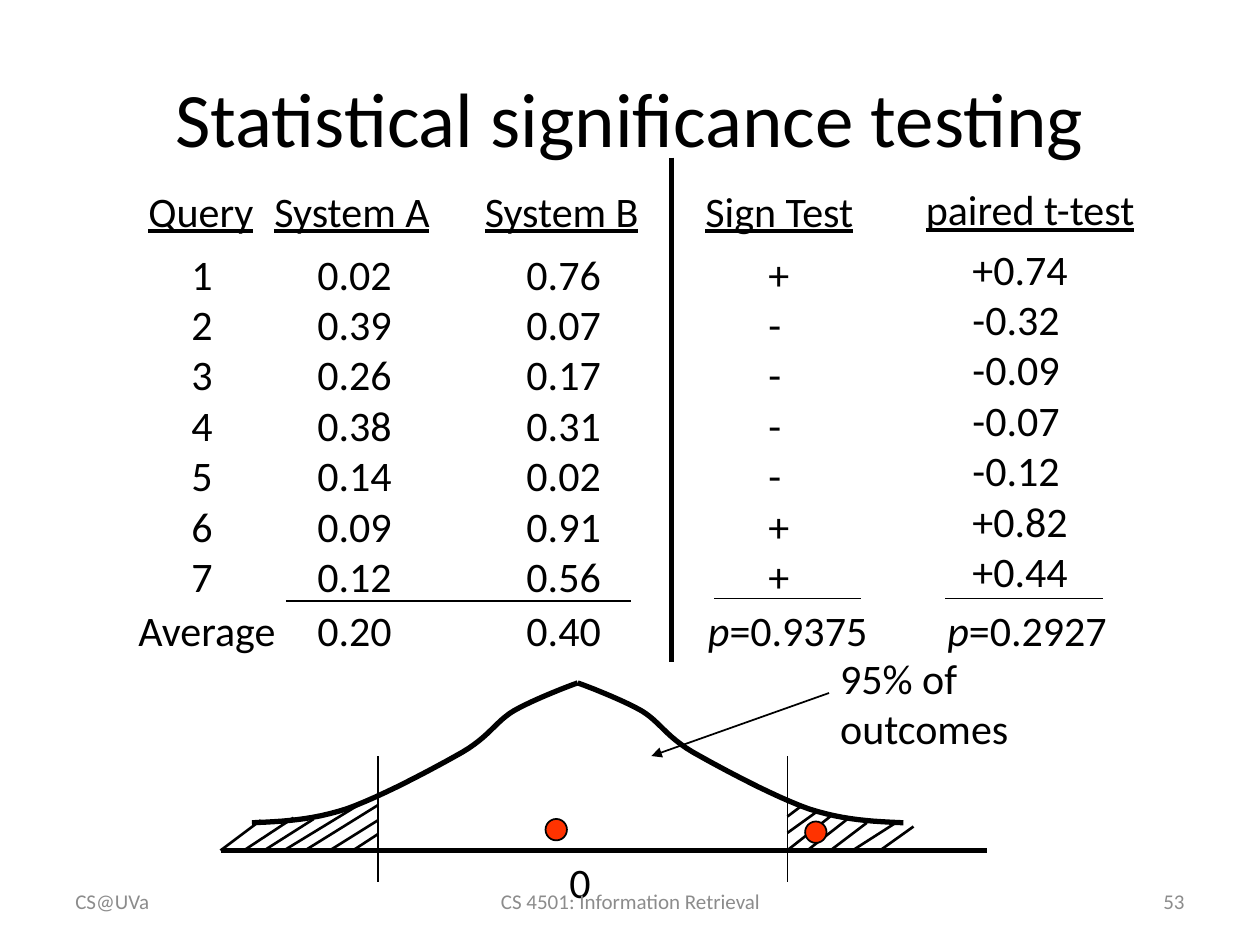
from lxml.etree import SubElement
from pptx import Presentation
from pptx.dml.color import RGBColor
from pptx.enum.shapes import MSO_CONNECTOR, MSO_SHAPE
from pptx.enum.text import MSO_ANCHOR, MSO_AUTO_SIZE, PP_ALIGN
from pptx.oxml.ns import qn
from pptx.util import Emu, Pt

EMU_PER_PX = 9144  # 100 px to the inch


def px(length):
    return Emu(round(length * EMU_PER_PX))


def color(hex_string):
    return RGBColor.from_string(hex_string)


def bezier(start, control_1, control_2, end, steps=12):
    """Points after start along a cubic curve."""
    points = []
    for step in range(1, steps + 1):
        t = step / steps
        weights = ((1 - t) ** 3, 3 * t * (1 - t) ** 2, 3 * t * t * (1 - t), t ** 3)
        corners = (start, control_1, control_2, end)
        points.append(tuple(sum(w * c[axis] for w, c in zip(weights, corners))
                            for axis in (0, 1)))
    return points


class SlideBuilder:
    FONT, INK, MUTED, ACCENT = "Calibri", "000000", "8C8C8C", "FF3300"
    BODY = 24

    def __init__(self, slide):
        self.slide = slide
        self.shapes = slide.shapes

    def styled_run(self, paragraph, text, align=PP_ALIGN.LEFT, size=BODY, ink=INK, **formats):
        paragraph.alignment = align
        run = paragraph.add_run()
        run.text = text
        run.font.color.rgb = color(ink)
        for name, value in {"name": self.FONT, "size": Pt(size), **formats}.items():
            setattr(run.font, name, value)

    def title(self, text, left, top, width, height):
        heading = self.shapes.title
        for name, value in zip(("left", "top", "width", "height"), (left, top, width, height)):
            setattr(heading, name, px(value))
        heading.text_frame.vertical_anchor = MSO_ANCHOR.MIDDLE
        self.styled_run(heading.text_frame.paragraphs[0], text, PP_ALIGN.CENTER, 44)

    def text(self, lines, left, top, width, height=50, wrap=False,
             anchor=MSO_ANCHOR.TOP, **style):
        frame = self.shapes.add_textbox(px(left), px(top), px(width), px(height)).text_frame
        frame.word_wrap = wrap
        frame.auto_size = MSO_AUTO_SIZE.NONE if wrap else MSO_AUTO_SIZE.SHAPE_TO_FIT_TEXT
        frame.vertical_anchor = anchor
        for index, line in enumerate(lines):
            paragraph = frame.add_paragraph() if index else frame.paragraphs[0]
            self.styled_run(paragraph, line, **style)
        return frame

    def p_value(self, value, left):
        frame = self.text(["p"], left, 475, 148, italic=True)
        self.styled_run(frame.paragraphs[0], f"={value}")

    def line(self, x1, y1, x2, y2, weight=1, arrow=False):
        connector = self.shapes.add_connector(
            MSO_CONNECTOR.STRAIGHT, px(x1), px(y1), px(x2), px(y2))
        connector.line.color.rgb = color(self.INK)
        connector.line.width = Pt(weight)
        properties = connector._element.spPr
        if arrow:
            SubElement(properties.find(qn("a:ln")), qn("a:tailEnd"), type="triangle")
        SubElement(properties, qn("a:effectLst"))

    def curve(self, points):
        (x, y), *others = [(px(x), px(y)) for x, y in points]
        builder = self.shapes.build_freeform(x, y)
        builder.add_line_segments(others, close=False)
        outline = builder.convert_to_shape()
        outline.shadow.inherit = False
        outline.fill.background()
        outline.line.color.rgb = color(self.INK)
        outline.line.width = Pt(3)

    def dot(self, left, top, size=17):
        marker = self.shapes.add_shape(MSO_SHAPE.OVAL, px(left), px(top), px(size), px(size))
        marker.shadow.inherit = False
        marker.fill.solid()
        marker.fill.fore_color.rgb = color(self.ACCENT)
        marker.line.color.rgb = color(self.INK)
        marker.line.width = Pt(1)


# heading, its left, top and width; values, their left, top and width
COLUMNS = [
    ("System A", 208, 142, 144, "0.02 0.39 0.26 0.38 0.14 0.09 0.12", 242, 192, 79),
    ("System B", 375, 142, 143, "0.76 0.07 0.17 0.31 0.02 0.91 0.56", 408, 192, 79),
    ("Query", 108, 142, 104, "1 2 3 4 5 6 7", 142, 192, 37),
    ("Sign Test", 550, 142, 138, "+ - - - - + +", 600, 192, 37),
    ("paired t-test", 725, 141, 193, "+0.74 -0.32 -0.09 -0.07 -0.12 +0.82 +0.44", 762, 188, 96),
]
AVERAGES = [("Average", 100, 130), ("0.20", 242, 79), ("0.40", 408, 79)]
SUM_RULES = [(227, 501, 477), (567, 683, 475), (750, 875, 475)]

LEFT_TAIL = [(200, 653), (224, 652), (247, 651), (275, 642), (303, 632), (344, 610),
             (367, 597), (389, 584), (393, 573), (408, 564), (424, 555), (450, 545),
             (458.5, 542)]
MIRROR_SUM = 917  # x of a point plus x of its mirror image

HATCHING = [
    (300, 651, 260, 676), (300, 639, 242, 675), (286, 638, 227, 674), (300, 662, 280, 675),
    (249, 650, 208, 676), (233, 649, 192, 676), (207, 651, 175, 675),
    (725, 656, 697, 676), (650, 643, 625, 661), (711, 653, 675, 676), (637, 639, 625, 648),
    (688, 653, 659, 675), (674, 649, 642, 674), (659, 648, 626, 674),
]
FOOTERS = [("CS@UVa", 50, 233, PP_ALIGN.LEFT),
           ("CS 4501: Information Retrieval", 342, 317, PP_ALIGN.CENTER),
           ("53", 717, 233, PP_ALIGN.RIGHT)]


def add_results(page):
    for heading, left, top, width, values, values_left, values_top, values_width in COLUMNS:
        page.text([heading], left, top, width, underline=True)
        page.text(values.split(), values_left, values_top, values_width, 293)
    for label, left, width in AVERAGES:
        page.text([label], left, 475, width)
    page.p_value("0.9375", 552)
    page.p_value("0.2927", 742)
    for start, end, y in SUM_RULES:
        page.line(start, y, end, y)
    page.line(533, 125, 533, 525, 3)


def add_distribution(page):
    page.dot(433, 650)
    page.line(175, 675, 783, 675, 3)
    half = [LEFT_TAIL[0]]
    for index in range(0, len(LEFT_TAIL) - 1, 3):
        half += bezier(*LEFT_TAIL[index:index + 4])
    page.curve(half)
    page.curve([(MIRROR_SUM - x, y) for x, y in half])
    page.text(["0"], 442, 675, 37)
    for limit in (300, 625):
        page.line(limit, 600, limit, 700)
    page.line(658, 550, 517, 600, arrow=True)
    page.text(["95% of outcomes"], 657, 513, 220, 90, wrap=True)
    for stroke in HATCHING:
        page.line(*stroke, weight=1.5)
    page.dot(639, 652)


def main():
    deck = Presentation()
    deck.slide_width, deck.slide_height = px(1000), px(750)
    page = SlideBuilder(deck.slides.add_slide(deck.slide_layouts[5]))
    page.title("Statistical significance testing", 50, 30, 900, 125)
    add_results(page)
    add_distribution(page)
    for label, left, width, align in FOOTERS:
        page.text([label], left, 695, width, 40, wrap=True, anchor=MSO_ANCHOR.MIDDLE,
                  align=align, size=12, ink=page.MUTED)
    deck.save("out.pptx")


if __name__ == "__main__":
    main()
